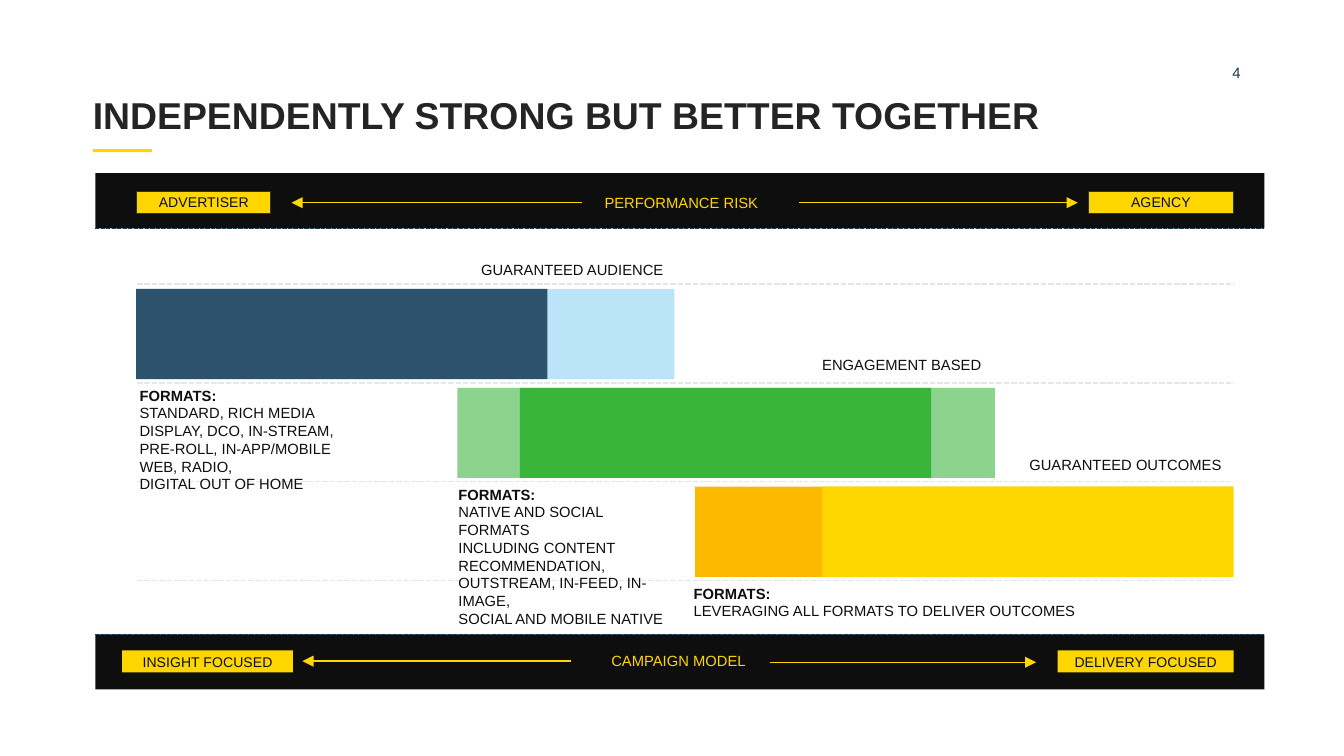
from lxml import etree
from pptx import Presentation
from pptx.dml.color import RGBColor
from pptx.enum.dml import MSO_LINE
from pptx.enum.shapes import MSO_CONNECTOR, MSO_SHAPE
from pptx.enum.text import MSO_ANCHOR, PP_ALIGN
from pptx.oxml.ns import qn
from pptx.util import Pt

RECTANGLE = MSO_SHAPE.RECTANGLE
STRAIGHT = MSO_CONNECTOR.STRAIGHT
DASH = MSO_LINE.SQUARE_DOT
TOP, MIDDLE = MSO_ANCHOR.TOP, MSO_ANCHOR.MIDDLE
LEFT, CENTER = PP_ALIGN.LEFT, PP_ALIGN.CENTER

BLACK, YELLOW, NAVY, GREY = "0E0E0E", "FFD600", "1E3748", "E7E6E6"
BODY = 7.9
LANE_PITCH = 53


def color(value):
    """Turn a hex string into a colour."""
    return RGBColor.from_string(value)


def add_bar(page, box, fill, alpha=None, outline=None):
    """Add a filled rectangle."""
    bar = page.shapes.add_shape(RECTANGLE, *map(Pt, box))
    bar.shadow.inherit = False
    bar.fill.solid()
    bar.fill.fore_color.rgb = color(fill)
    if alpha:
        tint = bar.fill._xPr.find(qn("a:solidFill"))[0]
        etree.SubElement(tint, qn("a:alpha"), val=str(alpha * 1000))
    if outline:
        bar.line.color.rgb = color(outline)
        bar.line.width = Pt(0.5)
    else:
        bar.line.fill.background()
    return bar


def add_line(page, start, end, stroke, width=0.75, dashed=False, arrow=False):
    """Add a straight line, optionally dashed or with an arrowhead at its end."""
    line = page.shapes.add_connector(STRAIGHT, *map(Pt, (*start, *end)))
    line.line.color.rgb = color(stroke)
    line.line.width = Pt(width)
    if dashed:
        line.line.dash_style = DASH
    if arrow:
        etree.SubElement(line.line._get_or_add_ln(), qn("a:tailEnd"), type="triangle")
    etree.SubElement(line._element.spPr, qn("a:effectLst"))


def write(shape, paragraphs, size=BODY, ink=BLACK, align=LEFT, anchor=TOP,
          wrap=False, inset=None, spacing=None):
    """Fill a shape with paragraphs made of (text, bold) runs."""
    frame = shape.text_frame
    frame.word_wrap = wrap
    frame.vertical_anchor = anchor
    if inset is not None:
        frame.margin_left = frame.margin_right = Pt(inset)
        frame.margin_top = frame.margin_bottom = Pt(inset)
    for index, runs in enumerate(paragraphs):
        para = frame.add_paragraph() if index else frame.paragraphs[0]
        para.alignment = align
        if spacing:
            para.line_spacing = spacing
        for text, bold in runs:
            for number, piece in enumerate(text.split("\n")):
                if number:
                    para.add_line_break()
                span = para.add_run()
                span.text = piece
                span.font.name = "Arial"
                span.font.size = Pt(size)
                span.font.bold = bold
                span.font.color.rgb = color(ink)


def add_text(page, box, paragraphs, **style):
    """Add a text box."""
    write(page.shapes.add_textbox(*map(Pt, box)), paragraphs, **style)


def add_header(page, box, title, number):
    """Add the title, its accent rule and the page number."""
    left, top, width, height = box
    add_bar(page, (left, top + 30.2, 31.7, 1.7), YELLOW)
    add_text(page, (left, top, width, height), [[(title, True)]], size=20,
             ink="242424", anchor=MIDDLE, wrap=True, inset=0, spacing=0.9)
    add_text(page, (left + 610.5, top - 15.8, 31, 11.5), [[(number, False)]],
             size=8, ink="1D3647", wrap=True, inset=0)


def add_band(page, box, edge, caption, arrows, tags, outline=None):
    """Add a black band with a caption, two outward arrows and two end tags."""
    left, top, width, height = box
    add_bar(page, box, BLACK)
    add_line(page, (left, top + edge), (left + width, top + edge), NAVY, dashed=True)
    text, offset, rise, span_width = caption
    add_text(page, (left + offset, top + rise, span_width, 16.5),
             [[(text, False)]], ink=YELLOW)
    for start, end, drop in arrows:
        add_line(page, (left + start, top + drop), (left + end, top + drop),
                 YELLOW, arrow=True)
    for name, offset, rise, tag_width in tags:
        tag = add_bar(page, (left + offset, top + rise, tag_width, 11.9), YELLOW,
                      outline=outline)
        write(tag, [[(name, False)]], size=7.5, align=CENTER, anchor=MIDDLE, inset=0)


def add_lane(page, box, bars, label, formats):
    """Add one lane: its bars, the label above and the formats below."""
    left, top, _, height = box
    for offset, bar_width, fill, alpha in bars:
        add_bar(page, (left + offset, top + 2.8, bar_width, 48.3), fill, alpha)
    text, offset, rise, label_width = label
    add_text(page, (left + offset, top - rise, label_width, 16.5), [[(text, False)]])
    paragraphs, offset, text_width, text_height, wrap = formats
    add_text(page, (left + offset, top + height - 1.5, text_width, text_height),
             paragraphs, wrap=wrap)


def add_lanes(page, box, lanes):
    """Add the dashed rules and the lanes between them."""
    left, top, width, height = box
    for index in range(len(lanes) + 1):
        y = top + index * height
        add_line(page, (left, y), (left + width, y), GREY, width=1, dashed=True)
    for index, lane in enumerate(lanes):
        add_lane(page, (left, top + index * height, width, height), *lane)


def main():
    """Build and save the deck."""
    deck = Presentation()
    deck.slide_width, deck.slide_height = Pt(720), Pt(405)
    page = deck.slides.add_slide(deck.slide_layouts[6])
    add_header(page, (49.7, 49.7, 620.6, 26.6),
               "INDEPENDENTLY STRONG BUT BETTER TOGETHER", "4")
    add_band(page, (51.1, 92.8, 626.3, 29.5), 29.5,
             ("PERFORMANCE RISK", 265.7, 7.4, 100),
             [(260.7, 105.1, 15.8), (376.9, 526.3, 15.8)],
             [("ADVERTISER", 22.1, 9.6, 72), ("AGENCY", 532.1, 9.6, 77.5)], NAVY)
    add_band(page, (51.1, 339.8, 626.3, 29.5), 0,
             ("CAMPAIGN MODEL", 269.3, 6, 88),
             [(254.9, 110.9, 14.4), (361.4, 504, 15)],
             [("INSIGHT FOCUSED", 14.4, 8.6, 91.4),
              ("DELIVERY FOCUSED", 515.5, 8.6, 94.3)])
    heading = ("FORMATS:", True)
    lanes = [
        ([(0, 288, "8BD2F4", 58), (-0.4, 220.3, "2C536B", None)],
         ("GUARANTEED AUDIENCE", 177.2, 15.9, 113.8),
         ([[heading],
           [("STANDARD, RICH MEDIA\nDISPLAY, DCO, IN-STREAM,", False)],
           [("PRE-ROLL, IN-APP/MOBILE\nWEB, RADIO,", False)],
           [("DIGITAL OUT OF HOME", False)]], -5.7, 121.7, 64.8, False)),
        ([(171.6, 288, "39B53C", 58), (205.2, 220.3, "39B53C", None)],
         ("ENGAGEMENT BASED", 360, 17.7, 100.8),
         ([[("FORMATS:\n", True), ("NATIVE AND SOCIAL FORMATS", False)],
           [("INCLUDING CONTENT RECOMMENDATION,\nOUTSTREAM, IN-FEED, IN-IMAGE,",
             False)],
           [("SOCIAL AND MOBILE NATIVE", False)]], 165.1, 131, 83.5, True)),
        ([(299, 288, "FBBA00", None), (367.2, 220.3, YELLOW, None)],
         ("GUARANTEED OUTCOMES", 470.9, 17.5, 118.8),
         ([[heading], [("LEVERAGING ALL FORMATS TO DELIVER OUTCOMES", False)]],
          291.1, 222.5, 26.6, False)),
    ]
    add_lanes(page, (73.4, 152, 587.5, LANE_PITCH), lanes)
    deck.save("out.pptx")


if __name__ == "__main__":
    main()
